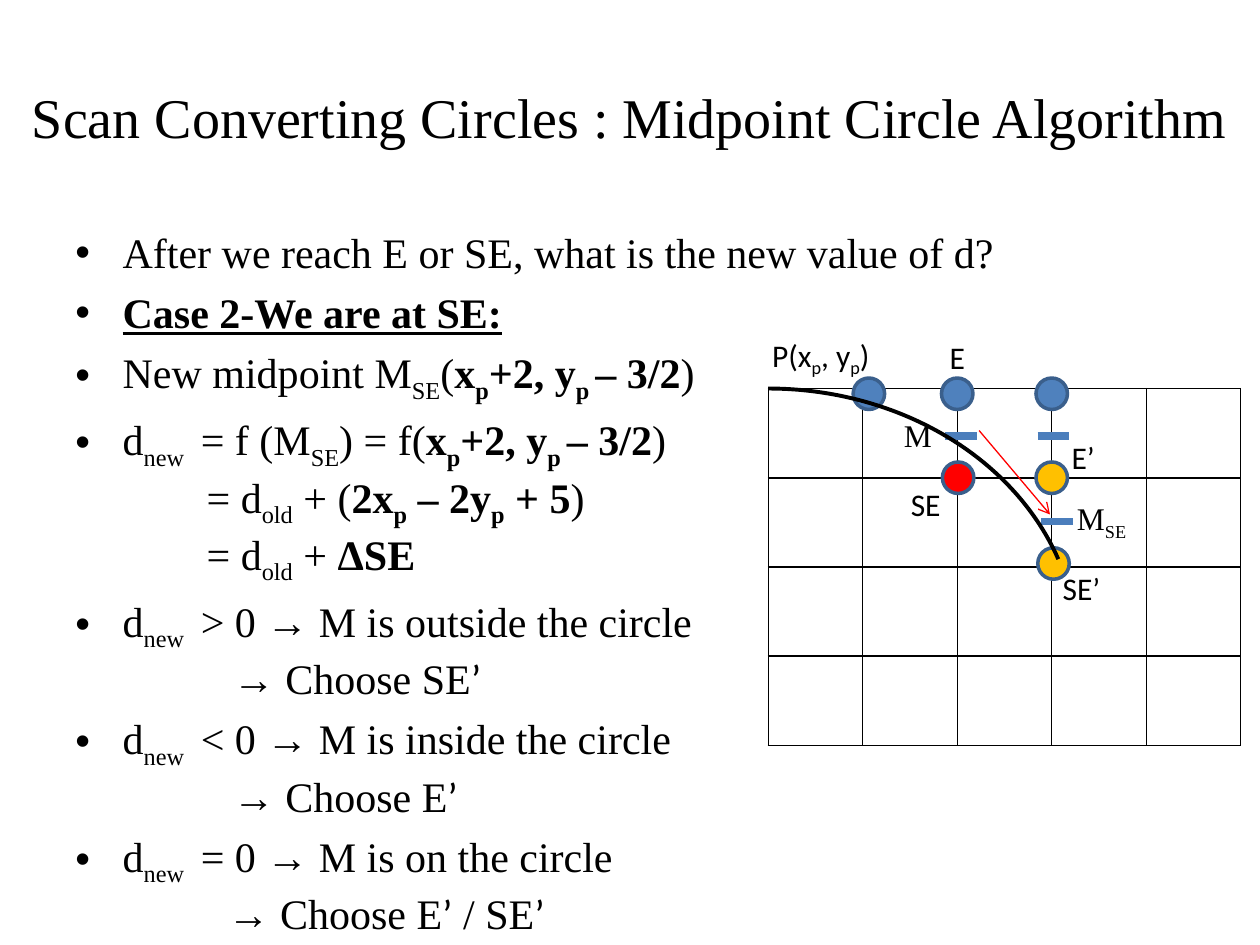
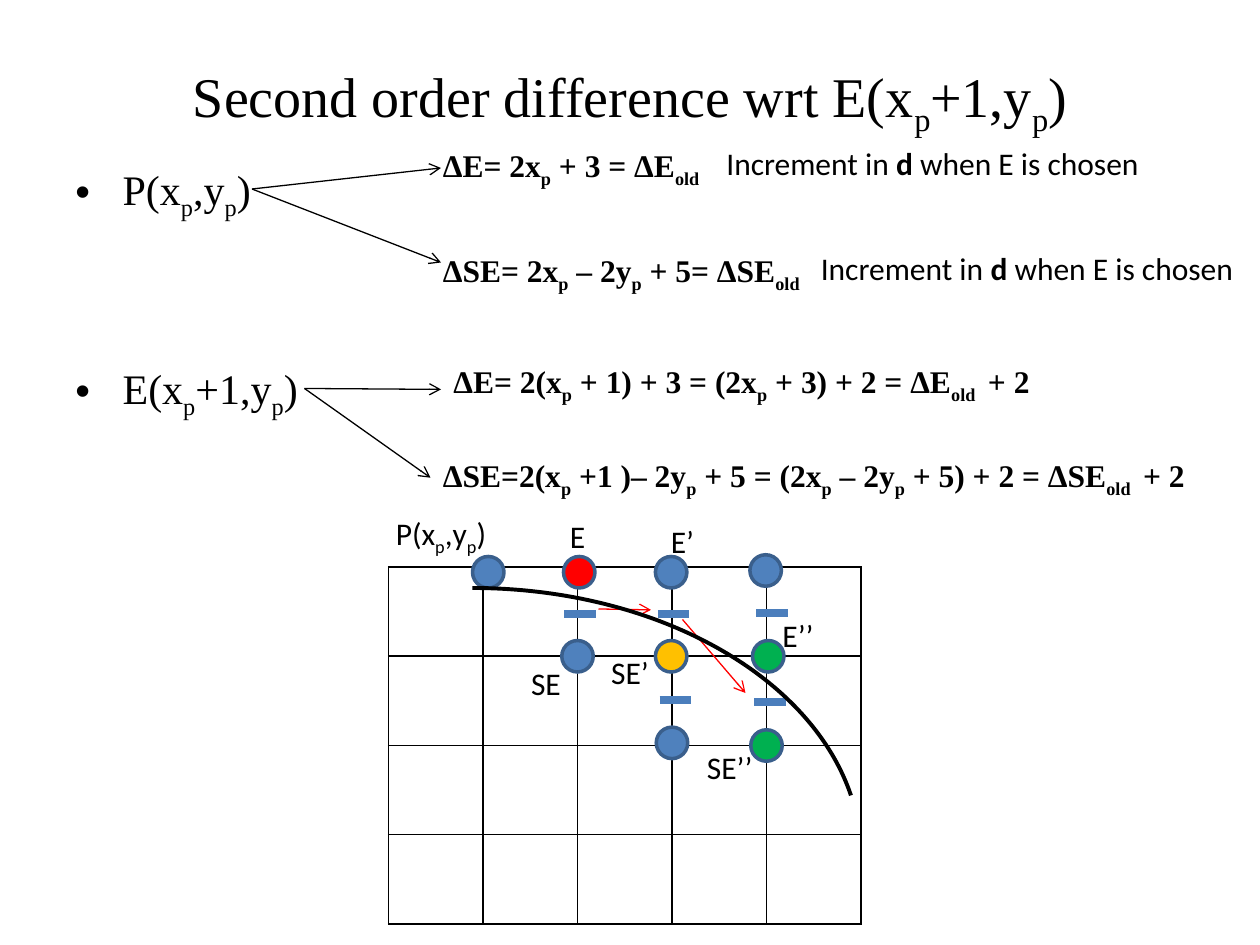
from dataclasses import dataclass
from typing import Iterator, NamedTuple, Optional

from lxml.etree import SubElement
from pptx import Presentation
from pptx.dml.color import RGBColor
from pptx.enum.shapes import MSO_CONNECTOR, MSO_SHAPE
from pptx.enum.text import MSO_ANCHOR, PP_ALIGN
from pptx.oxml.ns import qn
from pptx.shapes.autoshape import Shape
from pptx.shapes.connector import Connector
from pptx.slide import Slide
from pptx.util import Pt


@dataclass(frozen=True)
class Theme:
    black: str = "000000"
    blue: str = "4F81BD"
    outline: str = "3A5F8C"
    dash: str = "4B7EBC"
    red: str = "FF0000"
    orange: str = "FFC000"
    green: str = "00B050"
    serif: str = "Times New Roman"
    sans: str = "Calibri"
    title_size: float = 32
    body_size: float = 24
    label_size: float = 18


THEME = Theme()
BOLD, SUBSCRIPT, SANS = "*", "~", "^"  # each mark switches its format on and off
COLUMNS, ROWS = 5, 4
COLUMN_WIDTH, ROW_HEIGHT = 54, 51
DOT_SIZE = DASH_LENGTH = 18
BULLET_INDENT = 27


class Box(NamedTuple):
    left: float
    top: float
    width: float
    height: float


class Point(NamedTuple):
    x: float
    y: float


class Segment(NamedTuple):
    start: Point
    end: Point


class Dot(NamedTuple):
    left: float
    top: float
    color: str = THEME.blue


class Label(NamedTuple):
    text: str
    left: float
    top: float
    width: float
    height: float = 24
    font: str = THEME.sans


class BodyLine(NamedTuple):
    """A bulleted line, or an unbulleted continuation when indent is given."""
    text: str
    space_before: float = 5.5
    indent: Optional[float] = None
    underline: bool = False


@dataclass(frozen=True)
class Diagram:
    grid: Point
    dots: list[Dot]
    dashes: list[Point]
    labels: list[Label]
    steps: list[Segment]
    arc: Box
    arc_end: float


def styled_pieces(text: str) -> Iterator[tuple[str, set[str]]]:
    """Split marked text into pieces, each with the marks in force."""
    active: set[str] = set()
    piece = ""
    for character in text:
        if character in (BOLD, SUBSCRIPT, SANS):
            if piece:
                yield piece, active
            piece, active = "", active ^ {character}
        else:
            piece += character
    if piece:
        yield piece, active


def write_text(paragraph, text: str, *, font: str, size: float,
               bold: bool = False, underline: bool = False) -> None:
    for piece, marks in styled_pieces(text):
        run = paragraph.add_run()
        run.text = piece
        run.font.name = THEME.sans if SANS in marks else font
        run.font.size = Pt(size)
        run.font.bold = bold or BOLD in marks
        run.font.underline = underline
        run.font.color.rgb = RGBColor.from_string(THEME.black)
        if SUBSCRIPT in marks:
            run.font._element.set("baseline", "-25000")


def add_text_box(slide: Slide, box: Box, *, inset: float = 7.2,
                 anchor: MSO_ANCHOR = MSO_ANCHOR.MIDDLE) -> Shape:
    shape = slide.shapes.add_textbox(*map(Pt, box))
    frame = shape.text_frame
    frame.word_wrap = True
    frame.vertical_anchor = anchor
    frame.margin_left = frame.margin_right = Pt(inset)
    return shape


def add_text(slide: Slide, box: Box, text: str, *, font: str = THEME.serif,
             size: float = THEME.label_size, bold: bool = False,
             align: PP_ALIGN = PP_ALIGN.LEFT, inset: float = 7.2) -> Shape:
    shape = add_text_box(slide, box, inset=inset)
    paragraph = shape.text_frame.paragraphs[0]
    paragraph.alignment = align
    write_text(paragraph, text, font=font, size=size, bold=bold)
    return shape


def add_title(slide: Slide, box: Box, text: str) -> None:
    add_text(slide, box, text, size=THEME.title_size, align=PP_ALIGN.CENTER)


def add_body(slide: Slide, box: Box, lines: list[BodyLine]) -> None:
    frame = add_text_box(slide, box, anchor=MSO_ANCHOR.TOP).text_frame
    for number, line in enumerate(lines):
        paragraph = frame.add_paragraph() if number else frame.paragraphs[0]
        properties = paragraph._p.get_or_add_pPr()
        if line.indent is None:
            properties.set("marL", str(Pt(BULLET_INDENT)))
            properties.set("indent", str(-Pt(BULLET_INDENT)))
            SubElement(properties, qn("a:buFont"), typeface="Arial")
            SubElement(properties, qn("a:buChar"), char="•")
        else:
            properties.set("marL", str(Pt(line.indent)))
            properties.set("indent", "0")
            SubElement(properties, qn("a:buNone"))
        paragraph.space_before = Pt(line.space_before if number else 0)
        write_text(paragraph, line.text, font=THEME.serif,
                   size=THEME.body_size, underline=line.underline)


def add_line(slide: Slide, segment: Segment, *, color: str = THEME.black,
             width: float = 0.75, arrow: bool = True) -> Connector:
    connector = slide.shapes.add_connector(
        MSO_CONNECTOR.STRAIGHT, *map(Pt, (*segment.start, *segment.end)))
    connector.line.color.rgb = RGBColor.from_string(color)
    connector.line.width = Pt(width)
    properties = connector._element.spPr
    if arrow:
        SubElement(properties.get_or_add_ln(), qn("a:tailEnd"), type="arrow")
    SubElement(properties, qn("a:effectLst"))
    return connector


def add_shape(slide: Slide, kind: MSO_SHAPE, box: Box, *, fill: Optional[str],
              line: str, line_width: float) -> Shape:
    shape = slide.shapes.add_shape(kind, *map(Pt, box))
    shape.shadow.inherit = False
    if fill:
        shape.fill.solid()
        shape.fill.fore_color.rgb = RGBColor.from_string(fill)
    else:
        shape.fill.background()
    shape.line.color.rgb = RGBColor.from_string(line)
    shape.line.width = Pt(line_width)
    return shape


def add_grid(slide: Slide, origin: Point) -> None:
    box = Box(*origin, COLUMNS * COLUMN_WIDTH, ROWS * ROW_HEIGHT)
    table = slide.shapes.add_table(ROWS, COLUMNS, *map(Pt, box)).table
    table.first_row = table.horz_banding = False
    for cell in table.iter_cells():
        properties = cell._tc.get_or_add_tcPr()
        for side in ("lnL", "lnR", "lnT", "lnB"):
            border = SubElement(properties, qn(f"a:{side}"), w=str(Pt(1)))
            fill = SubElement(border, qn("a:solidFill"))
            SubElement(fill, qn("a:srgbClr"), val=THEME.black)
        cell.fill.background()


def add_diagram(slide: Slide, diagram: Diagram) -> None:
    add_grid(slide, diagram.grid)
    for start in diagram.dashes:
        end = Point(start.x + DASH_LENGTH, start.y)
        add_line(slide, Segment(start, end), color=THEME.dash, width=4.5, arrow=False)
    for dot in diagram.dots:
        add_shape(slide, MSO_SHAPE.OVAL, Box(dot.left, dot.top, DOT_SIZE, DOT_SIZE),
                  fill=dot.color, line=THEME.outline, line_width=2)
    for label in diagram.labels:
        box = Box(label.left, label.top, label.width, label.height)
        add_text(slide, box, label.text, font=label.font,
                 align=PP_ALIGN.CENTER, inset=0)
    for step in diagram.steps:
        add_line(slide, step, color=THEME.red)
    arc = add_shape(slide, MSO_SHAPE.ARC, diagram.arc, fill=None,
                    line=THEME.black, line_width=2.25)
    for index, degrees in enumerate((270, diagram.arc_end)):
        arc.adjustments[index] = degrees * 0.6


MIDPOINT_BODY = [
    BodyLine("After we reach E or SE, what is the new value of d?"),
    BodyLine("*Case 2-We are at SE:*", underline=True),
    BodyLine("New midpoint M~SE~(*x~p~+2, y~p ~– 3/2*)"),
    BodyLine("d~new ~ = f (M~SE~) = f(*x~p~+2, y~p ~– 3/2*)"),
    BodyLine("= d~old~ + (*2x~p~ – 2y~p~ + 5*)", 0, 75),
    BodyLine("= d~old~ + *ΔSE*", 0, 75),
    BodyLine("d~new ~ > 0 → M is outside the circle"),
    BodyLine("→ Choose SE^’^", 0, 90),
    BodyLine("d~new ~ < 0 → M is inside the circle"),
    BodyLine("→ Choose E^’^", 0, 90),
    BodyLine("d~new ~ = 0 → M is on the circle"),
    BodyLine("→ Choose E^’^ / SE^’^", 0, 87),
]

MIDPOINT_DIAGRAM = Diagram(
    grid=Point(439, 222),
    dots=[Dot(487.5, 216), Dot(538, 216), Dot(592, 216),
          Dot(538.5, 264, THEME.red), Dot(592, 264, THEME.orange),
          Dot(593, 313, THEME.orange)],
    dashes=[Point(540, 249), Point(593, 249), Point(595, 298)],
    labels=[Label("P(x~p~, y~p~)", 427, 192, 84), Label("E", 535, 192, 24),
            Label("SE", 511, 276, 36), Label("E’", 601, 246, 36, 30),
            Label("SE’", 600, 324, 36), Label("M", 509, 234, 31, 29, THEME.serif),
            Label("M~SE~", 607, 283, 45, 29, THEME.serif)],
    steps=[Segment(Point(559.5, 246), Point(600, 294))],
    arc=Box(262, 222, 354, 300),
    arc_end=342.44,
)

SECOND_ORDER_DIAGRAM = Diagram(
    grid=Point(222, 324),
    dots=[Dot(270, 318), Dot(322, 318, THEME.red), Dot(374.5, 318),
          Dot(428.5, 317), Dot(321, 366), Dot(374.5, 366, THEME.orange),
          Dot(430, 366, THEME.green), Dot(375, 415.5), Dot(429, 417, THEME.green)],
    dashes=[Point(322.5, 351), Point(376, 351), Point(377, 400),
            Point(432, 350.5), Point(431, 401)],
    labels=[Label("P(x~p~,y~p~)", 210, 294, 84), Label("E", 318, 294, 24),
            Label("SE", 294, 378, 36), Label("E’", 372, 294, 36, 30),
            Label("SE’", 342, 372, 36), Label("E’’", 438, 348, 36, 30),
            Label("SE’’", 396, 426, 42)],
    steps=[Segment(Point(390, 354), Point(426, 396)),
           Segment(Point(342, 348), Point(372, 348.5))],
    arc=Box(48, 336, 444, 306),
    arc_end=350.94,
)


def build_midpoint_slide(slide: Slide) -> None:
    add_body(slide, Box(36, 126, 648, 414), MIDPOINT_BODY)
    add_diagram(slide, MIDPOINT_DIAGRAM)
    add_title(slide, Box(0, 21.5, 720, 90),
              "Scan Converting Circles : Midpoint Circle Algorithm")


def build_second_order_slide(slide: Slide) -> None:
    add_body(slide, Box(36, 90, 648, 392),
             [BodyLine("P(x~p~,y~p~)"), BodyLine("E(x~p~+1,y~p~)", 81)])
    formulas = [
        (Box(246, 78, 300, 36), "ΔE= 2x~p~ + 3 = ΔE~old~"),
        (Box(246, 138, 306, 36), "ΔSE= 2x~p~ – 2y~p~ + 5= ΔSE~old~"),
        (Box(252, 204, 432, 30),
         "ΔE= 2(x~p~ + 1) + 3 = (2x~p~ + 3) + 2 = ΔE~old ~ + 2"),
        (Box(246, 258, 450, 30),
         "ΔSE=2(x~p~ +1 )– 2y~p~ + 5 = (2x~p~ – 2y~p~ + 5) + 2 = ΔSE~old ~ + 2"),
    ]
    shapes = [add_text(slide, box, text, bold=True) for box, text in formulas]
    from_p, from_e = Point(144, 108), Point(174, 222)
    branches = [Segment(from_p, Point(252, 96)), Segment(from_p, Point(252, 150)),
                Segment(from_e, Point(252, 222.5)), Segment(from_e, Point(246, 273))]
    arrows = [add_line(slide, branch) for branch in branches]
    arrows[-1].end_connect(shapes[-1], 1)
    for box in (Box(408, 72, 276, 42), Box(462, 132, 258, 42)):
        add_text(slide, box, "Increment in *d* when E is chosen", font=THEME.sans)
    add_diagram(slide, SECOND_ORDER_DIAGRAM)
    add_title(slide, Box(36, 12, 648, 90),
              "Second order difference wrt E(x~p~+1,y~p~)")


def main() -> None:
    presentation = Presentation()
    presentation.slide_width, presentation.slide_height = Pt(720), Pt(540)
    for build in (build_midpoint_slide, build_second_order_slide):
        build(presentation.slides.add_slide(presentation.slide_layouts[6]))
    presentation.save("out.pptx")


if __name__ == "__main__":
    main()
